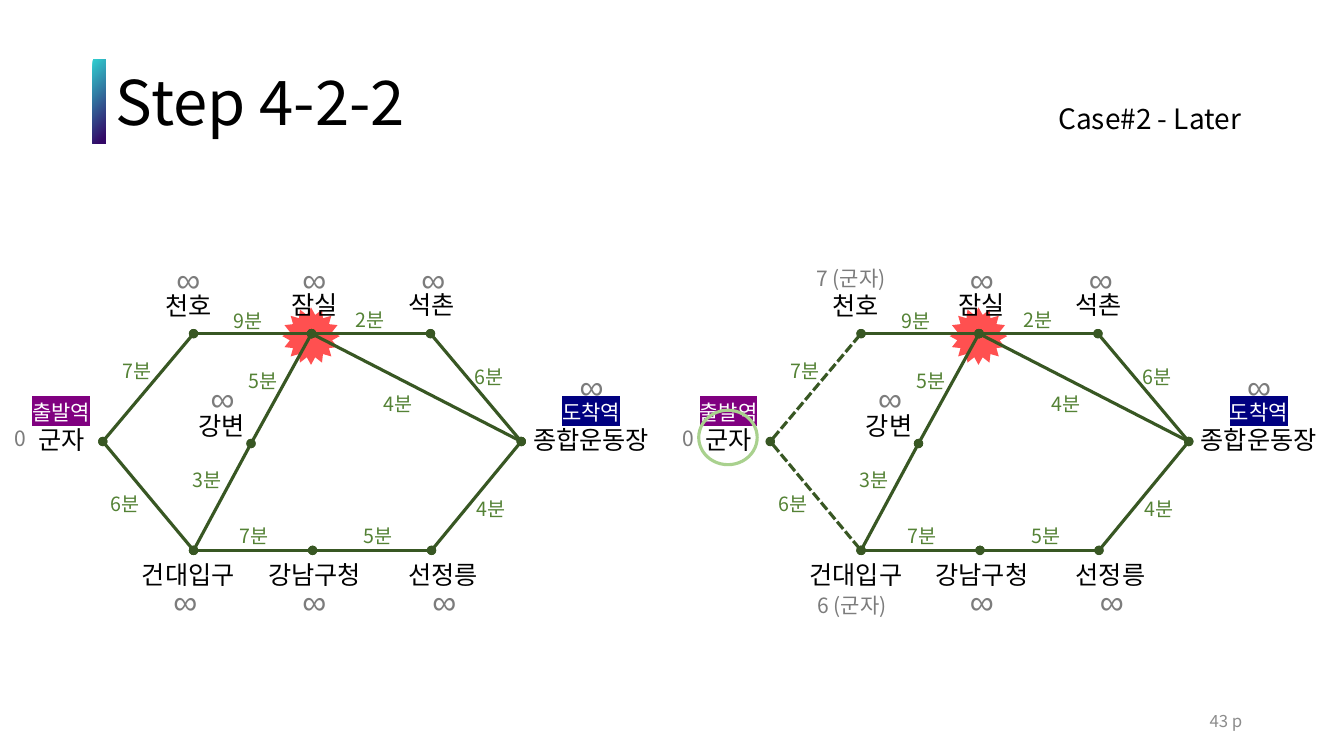
import pptx
import pptx.util
import pptx.dml.color
import pptx.enum.dml
import pptx.enum.shapes
import pptx.enum.text
import pptx.oxml
import pptx.oxml.ns
from pptx.util import Inches

COLORS = {
    "black": "000000", "white": "FFFFFF", "teal": "30CFD0", "violet": "330867",
    "burst": "FF5050", "track": "385723", "minutes": "548235", "cost": "7C7C7C",
    "start": "800080", "goal": "000080", "current": "A9D18E", "page": "8C8C8C",
}
FONT = "Noto Sans CJK KR"
RIGHT = pptx.enum.text.PP_ALIGN.RIGHT
MIDDLE = pptx.enum.text.MSO_ANCHOR.MIDDLE
SHAPES = pptx.enum.shapes.MSO_SHAPE


def rgb(name):
    return pptx.dml.color.RGBColor.from_string(COLORS[name])


def write(box, text, size, color, font=FONT, wrap=True, highlight=None):
    frame = box.text_frame
    frame.text = text
    frame.word_wrap = wrap
    span = frame.paragraphs[0].runs[0]
    span.font.size = pptx.util.Pt(size)
    span.font.name = font
    span.font.color.rgb = rgb(color)
    properties = span.font._element
    latin = properties.find(pptx.oxml.ns.qn("a:latin"))
    latin.addnext(pptx.oxml.parse_xml(
        f'<a:ea {pptx.oxml.ns.nsdecls("a")} typeface="{font}"/>'))
    if highlight:
        latin.addprevious(pptx.oxml.parse_xml(
            f'<a:highlight {pptx.oxml.ns.nsdecls("a")}>'
            f'<a:srgbClr val="{COLORS[highlight]}"/></a:highlight>'))
    return frame.paragraphs[0]


deck = pptx.Presentation()
deck.slide_width = Inches(13.33)
deck.slide_height = Inches(7.5)
page = deck.slides.add_slide(deck.slide_layouts[5])

accent = page.shapes.add_shape(
    SHAPES.RECTANGLE, Inches(0.92), Inches(0.59), Inches(0.13), Inches(0.83))
accent.shadow.inherit = False
accent.line.fill.background()
accent.fill.gradient()
accent.fill.gradient_angle = 315
for stop, (color, position) in zip(accent.fill.gradient_stops, [("teal", 0), ("violet", 0.94)]):
    stop.color.rgb = rgb(color)
    stop.position = position

title = page.shapes.title
title.left, title.top = Inches(1.05), Inches(0.51)
title.width, title.height = Inches(4.34), Inches(1.08)
para = write(title, "Step 4-2-2", 44, "black")
para.alignment = pptx.enum.text.PP_ALIGN.LEFT
para.line_spacing = 0.9
title.text_frame.vertical_anchor = MIDDLE

case = page.shapes.add_textbox(Inches(9.71), Inches(1), Inches(2.7), Inches(0.46))
para = write(case, "Case#2 - Later", 20, "black")
para.alignment = RIGHT
para.line_spacing = 0.9

STATIONS = {
    "군자": (1.02, 4.38), "천호": (1.92, 3.31), "잠실": (3.09, 3.31),
    "석촌": (4.27, 3.31), "종합운동장": (5.17, 4.38), "선정릉": (4.28, 5.46),
    "강남구청": (3.1, 5.46), "건대입구": (1.92, 5.46), "강변": (2.49, 4.4),
}
TRACKS = [
    ("천호", "잠실"), ("건대입구", "강남구청"), ("강남구청", "선정릉"),
    ("잠실", "석촌"), ("군자", "천호"), ("군자", "건대입구"),
    ("선정릉", "종합운동장"), ("석촌", "종합운동장"), ("건대입구", "강변"),
    ("강변", "잠실"), ("잠실", "종합운동장"),
]
NAMES = [
    ("군자", 0.28, 4.16, 0.66), ("천호", 1.54, 2.83, 0.66), ("선정릉", 3.95, 5.5, 0.89),
    ("강남구청", 2.56, 5.5, 1.12), ("종합운동장", 5.19, 4.16, 1.35),
    ("석촌", 3.95, 2.82, 0.66), ("잠실", 2.79, 2.82, 0.66),
    ("강변", 1.87, 4.02, 0.66), ("건대입구", 1.31, 5.5, 1.12),
]
BADGES = [("출발역", 0.22, "start"), ("도착역", 5.48, "goal")]
MINUTES = [
    (7, 1.12, 3.51), (4, 3.71, 3.84), (5, 2.37, 3.61), (3, 1.81, 4.59),
    (6, 4.61, 3.57), (2, 3.43, 3.01), (9, 2.22, 3.02), (6, 1, 4.83),
    (4, 4.63, 4.88), (5, 3.51, 5.15), (7, 2.28, 5.15),
]
UNREACHED = {
    "천호": (1.65, 2.52), "잠실": (2.9, 2.52), "석촌": (4.08, 2.52), "강변": (1.99, 3.7),
    "건대입구": (1.62, 5.71), "강남구청": (2.9, 5.71), "선정릉": (4.19, 5.71),
    "종합운동장": (5.65, 3.58),
}
VISITED = {"천호": ("7 (군자)", 1.38, 2.58), "건대입구": ("6 (군자)", 1.39, 5.83)}

for shift, reached in [(0, {}), (6.62, VISITED)]:
    network = page.shapes.add_group_shape().shapes

    burst = network.add_shape(
        SHAPES.STAR_16_POINT, Inches(2.8 + shift), Inches(3.05), Inches(0.57), Inches(0.57))
    burst.shadow.inherit = False
    burst.fill.solid()
    burst.fill.fore_color.rgb = rgb("burst")
    burst.line.fill.background()

    for origin, target in TRACKS:
        (x1, y1), (x2, y2) = STATIONS[origin], STATIONS[target]
        track = network.add_connector(
            pptx.enum.shapes.MSO_CONNECTOR.STRAIGHT,
            Inches(x1 + shift), Inches(y1), Inches(x2 + shift), Inches(y2))
        track.line.color.rgb = rgb("track")
        track.line.width = pptx.util.Pt(2.25)
        if origin == "군자" and target in reached:
            track.line.dash_style = pptx.enum.dml.MSO_LINE.SQUARE_DOT
        outline = track.line._get_or_add_ln()
        for end in ("headEnd", "tailEnd"):
            outline.append(pptx.oxml.parse_xml(
                f'<a:{end} {pptx.oxml.ns.nsdecls("a")} type="oval"/>'))
        outline.addnext(pptx.oxml.parse_xml(
            f'<a:effectLst {pptx.oxml.ns.nsdecls("a")}/>'))

    for name, x, y, width in NAMES:
        box = network.add_textbox(Inches(x + shift), Inches(y), Inches(width), Inches(0.46))
        write(box, name, 18, "black", wrap=False)

    for name, x, color in BADGES:
        box = network.add_textbox(Inches(x + shift), Inches(3.91), Inches(0.8), Inches(0.4))
        write(box, name, 15, "white", wrap=False, highlight=color)

    for count, x, y in MINUTES:
        box = network.add_textbox(Inches(x + shift), Inches(y), Inches(0.5), Inches(0.38))
        write(box, f"{count}분", 14, "minutes")

    box = network.add_textbox(Inches(0.05 + shift), Inches(4.17), Inches(0.75), Inches(0.46))
    write(box, "0", 15, "cost")

    for station, (x, y) in UNREACHED.items():
        if station not in reached:
            box = network.add_textbox(Inches(x + shift), Inches(y), Inches(0.75), Inches(0.64))
            write(box, "∞", 24, "cost", font="Arial")

    for cost, x, y in reached.values():
        box = network.add_textbox(Inches(x + shift), Inches(y), Inches(1.27), Inches(0.35))
        write(box, cost, 15, "cost")

    if reached:
        current = network.add_shape(
            SHAPES.OVAL, Inches(0.31 + shift), Inches(4.07), Inches(0.58), Inches(0.54))
        current.shadow.inherit = False
        current.fill.background()
        current.line.color.rgb = rgb("current")
        current.line.width = pptx.util.Pt(2.25)

number = page.shapes.add_textbox(Inches(9.42), Inches(6.95), Inches(3), Inches(0.4))
write(number, "43 p", 12, "page").alignment = RIGHT
number.text_frame.vertical_anchor = MIDDLE

deck.save("out.pptx")
